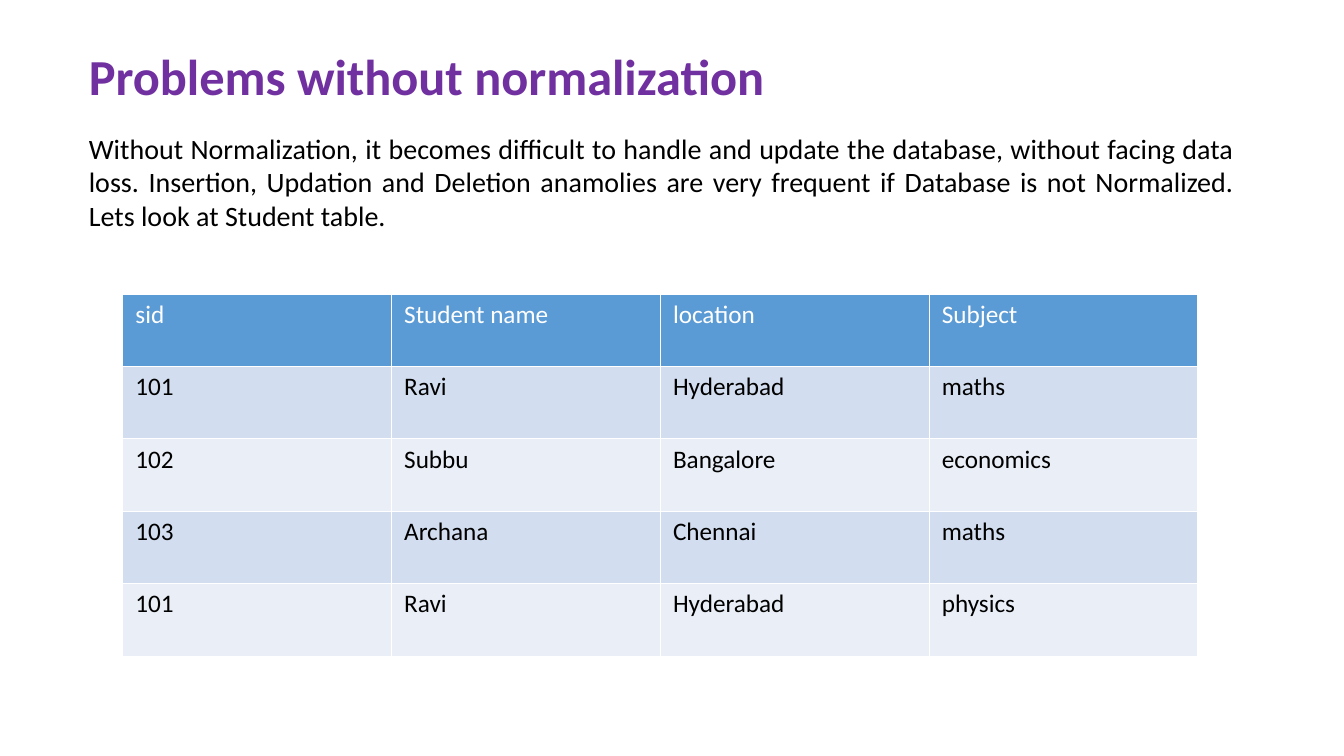
from lxml import etree
from pptx import Presentation
from pptx.dml.color import RGBColor
from pptx.enum.text import MSO_ANCHOR, MSO_AUTO_SIZE, PP_ALIGN
from pptx.oxml.ns import qn
from pptx.util import Pt

PX = 9525  # EMU per px at 96 px to the inch
FONT = "Calibri"
BLACK, WHITE, PURPLE = "000000", "FFFFFF", "7030A0"
HEADER_FILL, BAND_FILLS = "5B9BD5", ("D2DEEF", "EAEFF7")

TITLE = "Problems without normalization"
INTRO = (
    "Without Normalization, it becomes difficult to handle and update the database, "
    "without facing data loss. Insertion, Updation and Deletion anamolies are very "
    "frequent if Database is not Normalized. Lets look at Student table."
)
STUDENTS = [
    ("sid", "Student name", "location", "Subject"),
    ("101", "Ravi", "Hyderabad", "maths"),
    ("102", "Subbu", "Bangalore", "economics"),
    ("103", "Archana", "Chennai", "maths"),
    ("101", "Ravi", "Hyderabad", "physics"),
]


def px(length):
    return length * PX


def color(hex_code):
    return RGBColor.from_string(hex_code)


def style_font(font, size, hex_code, bold=False):
    font.name = FONT
    font.size = Pt(size)
    font.bold = bold
    font.color.rgb = color(hex_code)


def fill_placeholder(holder, box, text, size, hex_code, align, bold=False):
    holder.left, holder.top, holder.width, holder.height = map(px, box)
    frame = holder.text_frame
    frame.text = text
    frame.word_wrap = True
    frame.auto_size = MSO_AUTO_SIZE.NONE
    frame.vertical_anchor = MSO_ANCHOR.TOP
    paragraph = frame.paragraphs[0]
    paragraph.alignment = align
    paragraph.space_before = Pt(0)
    properties = paragraph._p.get_or_add_pPr()
    properties.set("marL", "0")
    properties.set("indent", "0")
    etree.SubElement(properties, qn("a:buNone"))
    style_font(paragraph.runs[0].font, size, hex_code, bold)


def add_borders(cell, hex_code, points):
    properties = cell._tc.get_or_add_tcPr()
    for side in ("lnL", "lnR", "lnT", "lnB"):
        line = etree.SubElement(properties, qn(f"a:{side}"), w=str(Pt(points)))
        solid = etree.SubElement(line, qn("a:solidFill"))
        etree.SubElement(solid, qn("a:srgbClr"), val=hex_code)


def style_cell(cell, text, fill, hex_code):
    cell.text = text
    cell.margin_left = cell.margin_right = px(12)
    cell.margin_top = cell.margin_bottom = px(5)
    add_borders(cell, WHITE, 1)
    cell.fill.solid()
    cell.fill.fore_color.rgb = color(fill)
    style_font(cell.text_frame.paragraphs[0].runs[0].font, 18, hex_code)


def add_student_table(slide, box, records):
    left, top, width, height = map(px, box)
    table = slide.shapes.add_table(
        len(records), len(records[0]), left, top, width, height
    ).table
    table.horz_banding = False
    for row, record in enumerate(records):
        is_header = row == 0
        fill = HEADER_FILL if is_header else BAND_FILLS[(row - 1) % 2]
        for column, value in enumerate(record):
            style_cell(table.cell(row, column), value, fill,
                       WHITE if is_header else BLACK)


def build_normalization_slide(deck):
    slide = deck.slides.add_slide(deck.slide_layouts[1])
    # Heading and introduction
    fill_placeholder(slide.shapes.title, (75, 38, 779, 68), TITLE,
                     36, PURPLE, PP_ALIGN.LEFT, bold=True)
    fill_placeholder(slide.placeholders[1], (75, 120, 1110, 107), INTRO,
                     20, BLACK, PP_ALIGN.JUSTIFY)
    # Student records
    add_student_table(slide, (117, 280, 1024, 345), STUDENTS)


def main():
    deck = Presentation()
    deck.slide_width, deck.slide_height = px(1280), px(720)
    build_normalization_slide(deck)
    deck.save("out.pptx")


if __name__ == "__main__":
    main()
